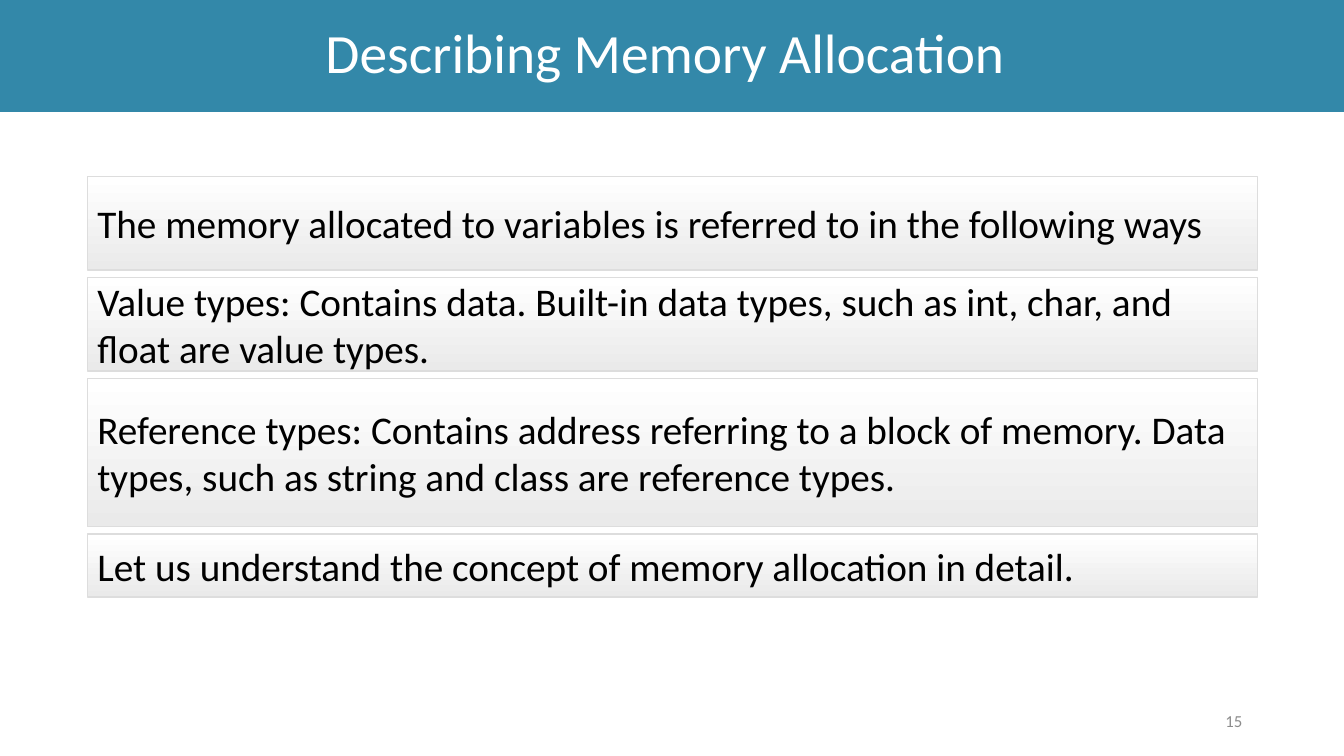
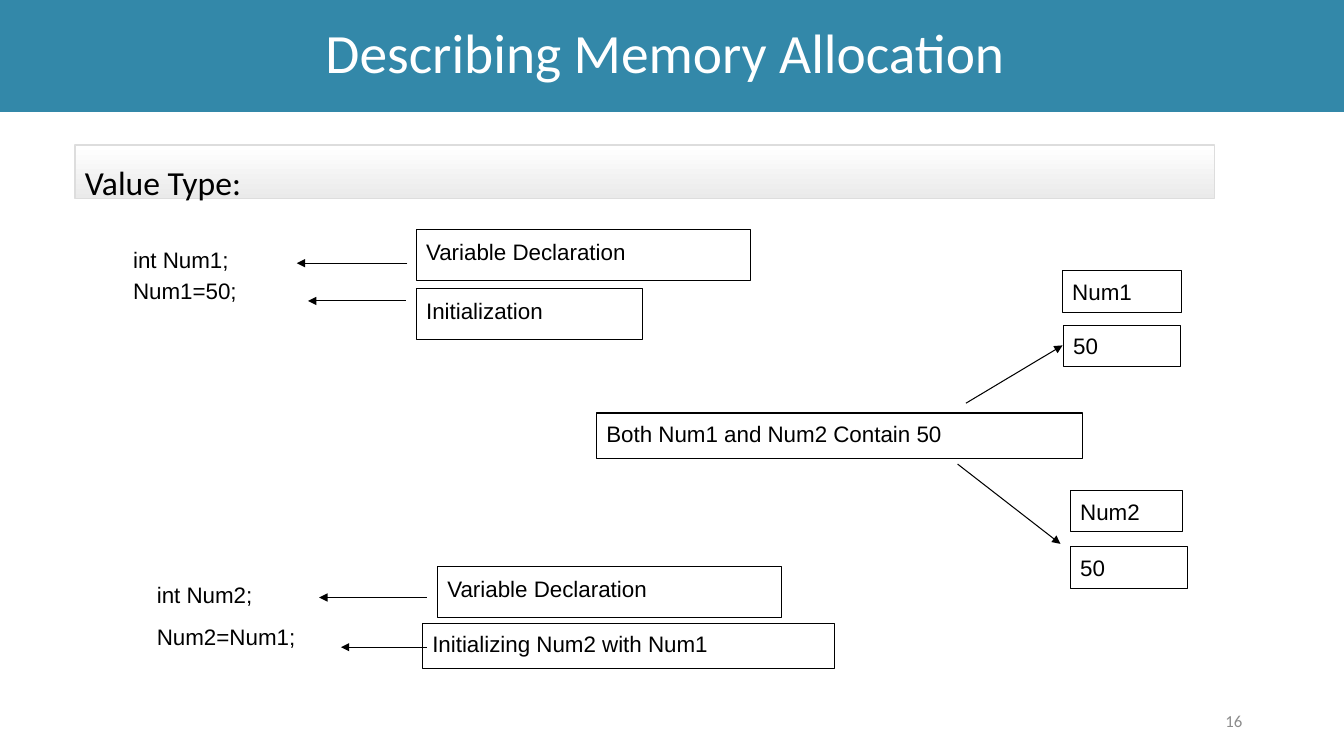
from typing import NamedTuple

from lxml import etree
from pptx import Presentation
from pptx import util as u
from pptx.dml.color import RGBColor
from pptx.enum import shapes, text
from pptx.oxml import ns

Pt = u.Pt

TEAL = RGBColor(0x33, 0x88, 0xA9)
WHITE = RGBColor(0xFF, 0xFF, 0xFF)
BLACK = RGBColor(0, 0, 0)
GREY = RGBColor(0x8C, 0x8C, 0x8C)
PANEL_END = RGBColor(0xEA, 0xEA, 0xEA)
PANEL_EDGE = RGBColor(0xDD, 0xDD, 0xDD)

HEADING_FONT = "Calibri"
CODE_FONT = "Arial"
SLIDE_WIDTH, SLIDE_HEIGHT = 960, 540
TITLE = "Describing Memory Allocation"
PANEL_GAP = 5.2


class Box(NamedTuple):
    """A rectangle in points."""

    left: float
    top: float
    width: float
    height: float

    def inner(self, left, top, width, height):
        """Return a rectangle placed from this one's top left corner."""
        return Box(self.left + left, self.top + top, width, height)

    def lengths(self):
        """Return the four lengths for python-pptx."""
        return [Pt(value) for value in self]


TITLE_BOX = Box(0, 0, SLIDE_WIDTH, 80)
NUMBER_BOX = Box(678.5, 500.5, 216, 29)


def write(shape, lines, size, font, color=BLACK, anchor=text.MSO_ANCHOR.MIDDLE,
          align=text.PP_ALIGN.LEFT, line_spacing=None, space_before=0):
    """Fill a shape with one formatted paragraph per line."""
    frame = shape.text_frame
    frame.word_wrap = True
    frame.auto_size = text.MSO_AUTO_SIZE.NONE
    frame.vertical_anchor = anchor
    for index, line in enumerate(lines):
        paragraph = frame.add_paragraph() if index else frame.paragraphs[0]
        paragraph.alignment = align
        paragraph.space_before = Pt(space_before if index else 0)
        if line_spacing:
            paragraph.line_spacing = line_spacing
        run = paragraph.add_run()
        run.text = line
        run.font.size = Pt(size)
        run.font.name = font
        run.font.color.rgb = color


def add_rectangle(slide, box, edge, width):
    """Add a flat rectangle with an outline."""
    shape = slide.shapes.add_shape(shapes.MSO_SHAPE.RECTANGLE, *box.lengths())
    shape.shadow.inherit = False
    shape.line.color.rgb = edge
    shape.line.width = Pt(width)
    return shape


def add_panel(slide, box, line, size, line_spacing=None):
    """Add a statement on a white to grey gradient."""
    panel = add_rectangle(slide, box, PANEL_EDGE, 1)
    panel.fill.gradient()
    panel.fill.gradient_angle = 270
    for stop, color in zip(panel.fill.gradient_stops, (WHITE, PANEL_END)):
        stop.color.rgb = color
    write(panel, [line], size, HEADING_FONT, line_spacing=line_spacing)


def add_label(slide, box, line, inset=5):
    """Add an outlined white label."""
    label = add_rectangle(slide, box, BLACK, 0.75)
    label.fill.solid()
    label.fill.fore_color.rgb = WHITE
    label.text_frame.margin_top = Pt(inset)
    write(label, [line], 16, CODE_FONT, anchor=text.MSO_ANCHOR.TOP)


def add_arrow(slide, box, start, end):
    """Add a thin arrow between two points counted from the box corner."""
    points = [Pt(origin + offset) for point in (start, end)
              for origin, offset in zip((box.left, box.top), point)]
    arrow = slide.shapes.add_connector(shapes.MSO_CONNECTOR.STRAIGHT, *points)
    arrow.line.color.rgb = BLACK
    arrow.line.width = Pt(0.75)
    tail = etree.SubElement(arrow.line._get_or_add_ln(), ns.qn("a:tailEnd"))
    tail.set("type", "triangle")
    etree.SubElement(arrow._element.spPr, ns.qn("a:effectLst"))


def add_base_slide(presentation, number):
    """Add a slide with the title band and the page number."""
    slide = presentation.slides.add_slide(presentation.slide_layouts[5])
    title = slide.shapes.title
    title.left, title.top, title.width, title.height = TITLE_BOX.lengths()
    title.fill.solid()
    title.fill.fore_color.rgb = TEAL
    title.text_frame.margin_right = Pt(17)
    write(title, [TITLE], 39.6, HEADING_FONT, WHITE,
          align=text.PP_ALIGN.CENTER, line_spacing=0.9)
    page_number = slide.shapes.add_textbox(*NUMBER_BOX.lengths())
    write(page_number, [str(number)], 12, HEADING_FONT, GREY,
          align=text.PP_ALIGN.RIGHT)
    return slide


def add_panel_stack(slide, box, panels):
    """Stack panels of given heights from the top of the box."""
    top = 0
    for height, line in panels:
        add_panel(slide, box.inner(0, top, box.width, height), line, 28)
        top += height + PANEL_GAP


def add_code_notes(slide, box, code_top, code, space_before, notes):
    """Put code at the left of the box, with a label and arrow per line."""
    code_box = box.inner(0, code_top, 150, 68)
    code_text = slide.shapes.add_textbox(*code_box.lengths())
    code_text.text_frame.margin_top = Pt(5)
    write(code_text, code, 16, CODE_FONT, anchor=text.MSO_ANCHOR.TOP,
          space_before=space_before)
    for line, place, inset, arrow_start, arrow_end, arrow_top in notes:
        add_label(slide, box.inner(*place), line, inset)
        add_arrow(slide, box, (arrow_start, arrow_top), (arrow_end, arrow_top))


def add_memory_diagram(slide, box):
    """Show both variables at the right, with arrows from the summary."""
    add_label(slide, box.inner(0, 101.5, 347, 32.5), "Both Num1 and Num2 Contain 50")
    variables = [("Num1", 332.8, 0, 85), ("50", 333.5, 39, 83.5),
                 ("Num2", 338.5, 157, 80.5), ("50", 338.5, 197.2, 83.5)]
    for line, left, top, width in variables:
        add_label(slide, box.inner(left, top, width, 29.5), line)
    add_arrow(slide, box, (264, 94.5), (333, 53.2))
    add_arrow(slide, box, (258, 138), (331.5, 195))


def build_overview(presentation):
    """Build the slide on the two kinds of types."""
    slide = add_base_slide(presentation, 15)
    add_panel_stack(slide, Box(62.5, 126, 836, 300), [
        (66.9, "The memory allocated to variables is referred to in the "
               "following ways"),
        (66.9, "Value types: Contains data. Built-in data types, such as int, "
               "char, and float are value types."),
        (106, "Reference types: Contains address referring to a block of "
              "memory. Data types, such as string and class are reference "
              "types."),
        (45, "Let us understand the concept of memory allocation in detail."),
    ])


def build_value_type(presentation):
    """Build the slide with the value type example."""
    slide = add_base_slide(presentation, 16)
    add_code_notes(slide, Box(88, 164, 448, 78), 7, ["int Num1;", "Num1=50;"], 3, [
        ("Variable Declaration", (209.3, 0, 238.5, 36.3), 6, 203, 124, 24),
        ("Initialization", (209.3, 42, 162, 36.3), 6, 202, 132, 51),
    ])
    add_memory_diagram(slide, Box(426, 193.5, 422, 227))
    add_code_notes(slide, Box(105, 404.8, 491, 73), 5,
                   ["int Num2;", "Num2=Num1;"], 11, [
        ("Variable Declaration", (207.5, 0, 246, 36.3), 6, 200, 123, 22),
        ("Initializing Num2 with Num1", (196.7, 40.5, 294.5, 32.2), 5,
         200, 138.5, 57.5),
    ])
    add_panel(slide, Box(53.5, 103.7, 814, 38), "Value Type:", 24, 1.5)


def main():
    """Build and save the presentation."""
    presentation = Presentation()
    presentation.slide_width = Pt(SLIDE_WIDTH)
    presentation.slide_height = Pt(SLIDE_HEIGHT)
    build_overview(presentation)
    build_value_type(presentation)
    presentation.save("out.pptx")


main()
